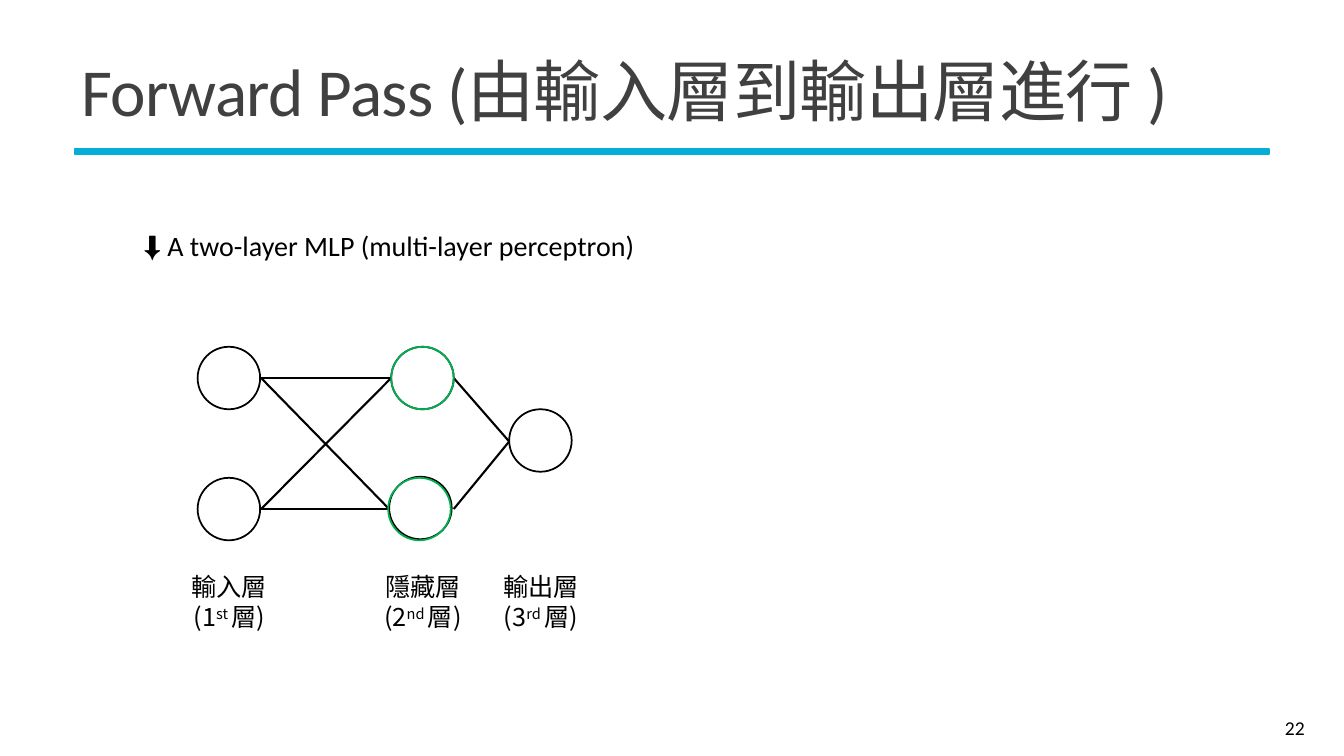
from dataclasses import dataclass

from lxml import etree
from pptx import Presentation
from pptx.dml.color import RGBColor
from pptx.enum import shapes, text
from pptx.oxml.ns import qn
from pptx.util import Inches, Pt

LATIN, CJK = "Calibri", "Noto Sans CJK TC"
BLACK, GREEN, TITLE_GREY, RULE_BLUE = "000000", "00B050", "404040", "05AED6"
NODE_SIZE = 0.62
TOP_Y, MIDDLE_Y, BOTTOM_Y = 3.75, 4.38, 5.05


@dataclass
class Node:
    left: float
    top: float
    color: str = BLACK


@dataclass
class Edge:
    x1: float
    y1: float
    x2: float
    y2: float


@dataclass
class LayerLabel:
    left: float
    name: str
    number: str
    suffix: str


def rgb(color: str) -> RGBColor:
    return RGBColor.from_string(color)


def style(paragraph, size: float, font: str, color: str = BLACK,
          align=text.PP_ALIGN.LEFT) -> None:
    paragraph.alignment = align
    paragraph.font.size = Pt(size)
    paragraph.font.color.rgb = rgb(color)
    paragraph.font.name = font
    defaults = paragraph._p.pPr.find(qn("a:defRPr"))
    etree.SubElement(defaults, qn("a:ea")).set("typeface", CJK)


def add_text_frame(left: float, top: float, width: float, height: float,
                   anchor=text.MSO_ANCHOR.TOP):
    frame = slide.shapes.add_textbox(
        Inches(left), Inches(top), Inches(width), Inches(height)).text_frame
    frame.word_wrap = True
    frame.vertical_anchor = anchor
    return frame


def add_node(node: Node) -> None:
    circle = slide.shapes.add_shape(
        shapes.MSO_SHAPE.OVAL, Inches(node.left), Inches(node.top),
        Inches(NODE_SIZE), Inches(NODE_SIZE))
    circle.shadow.inherit = False
    circle.fill.background()
    circle.line.color.rgb = rgb(node.color)
    circle.line.width = Pt(1.25)


def add_edge(edge: Edge) -> None:
    link = slide.shapes.add_connector(
        shapes.MSO_CONNECTOR.STRAIGHT, Inches(edge.x1), Inches(edge.y1),
        Inches(edge.x2), Inches(edge.y2))
    link.line.color.rgb = rgb(BLACK)
    link.line.width = Pt(1.5)
    etree.SubElement(link._element.spPr, qn("a:effectLst"))


def add_layer_label(label: LayerLabel) -> None:
    frame = add_text_frame(label.left, 5.62, 1.23, 0.71)
    name, order = frame.paragraphs[0], frame.add_paragraph()
    name.add_run().text = label.name
    order.add_run().text = f"({label.number}"
    suffix = order.add_run()
    suffix.text = f"{label.suffix} "
    suffix._r.get_or_add_rPr().set("baseline", "30000")
    order.add_run().text = "層)"
    for line in (name, order):
        style(line, 18, CJK, align=text.PP_ALIGN.CENTER)


prs = Presentation()
prs.slide_width, prs.slide_height = Inches(13.33), Inches(7.5)
slide = prs.slides.add_slide(prs.slide_layouts[6])

# Title and rule
rule = slide.shapes.add_shape(shapes.MSO_SHAPE.RECTANGLE, Inches(0.74),
                              Inches(1.48), Inches(11.85), Inches(0.05))
rule.shadow.inherit = False
rule.fill.solid()
rule.fill.fore_color.rgb = rgb(RULE_BLUE)
rule.line.color.rgb = rgb(RULE_BLUE)
rule.line.width = Pt(1.25)

title = add_text_frame(0.71, 0.39, 11.94, 1.13,
                       text.MSO_ANCHOR.MIDDLE).paragraphs[0]
title.line_spacing = 0.85
for words, font in (("Forward Pass (", LATIN),
                    ("由輸入層到輸出層進行 ", CJK), (")", LATIN)):
    part = title.add_run()
    part.text = words
    part.font.name = font
    part._r.get_or_add_rPr().set("spc", "-50")
style(title, 48, LATIN, TITLE_GREY)

# Page number
page_number = add_text_frame(11.61, 7.02, 1.43, 0.4,
                             text.MSO_ANCHOR.MIDDLE).paragraphs[0]
page_number.add_run().text = "22"
style(page_number, 14, LATIN, align=text.PP_ALIGN.RIGHT)

# Network caption
caption = add_text_frame(0.94, 2.22, 5.84, 0.44).paragraphs[0]
caption.add_run().text = "⬇️ A two-layer MLP (multi-layer perceptron)"
style(caption, 20, LATIN, align=text.PP_ALIGN.CENTER)

# Edges: every input to every hidden node, every hidden node to the output
hidden_ends = ((3.88, TOP_Y), (3.86, BOTTOM_Y))
for start_y in (TOP_Y, BOTTOM_Y):
    for end_x, end_y in hidden_ends:
        add_edge(Edge(2.59, start_y, end_x, end_y))
    add_edge(Edge(4.5, start_y, 5.05, MIDDLE_Y))

# Nodes: input, output, then hidden ones ringed in green
for node in (
    Node(1.96, 3.44), Node(1.96, 4.74),
    Node(5.05, 4.06),
    Node(3.88, 3.44), Node(3.88, 3.44, GREEN),
    Node(3.86, 4.73), Node(3.85, 4.74, GREEN),
):
    add_node(node)

# Layer labels
for label in (
    LayerLabel(1.66, "輸入層", "1", "st"),
    LayerLabel(3.58, "隱藏層", "2", "nd"),
    LayerLabel(4.75, "輸出層", "3", "rd"),
):
    add_layer_label(label)

prs.save("out.pptx")
